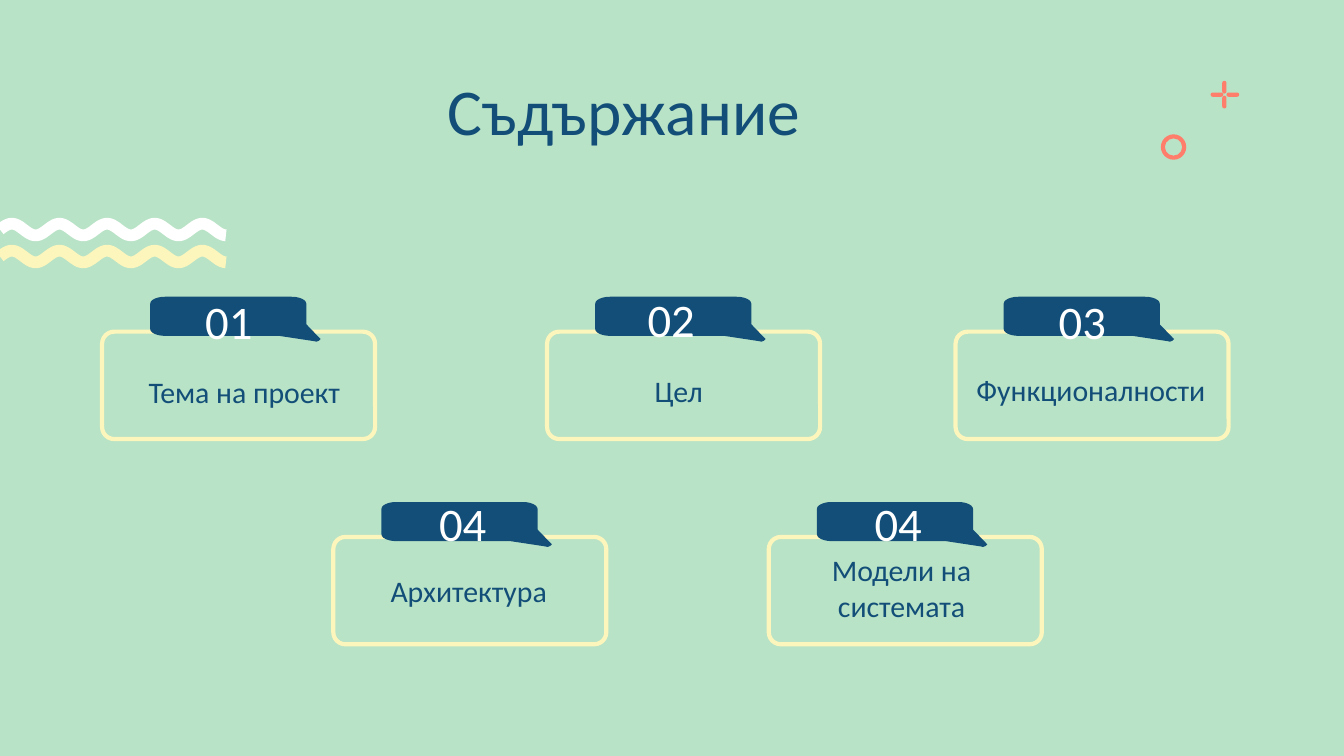
from math import cos, pi, radians, sin

from pptx import Presentation
from pptx.dml.color import RGBColor
from pptx.enum.shapes import MSO_SHAPE as Shape
from pptx.enum.text import MSO_ANCHOR as Anchor, PP_ALIGN as Align
from pptx.util import Cm, Pt

NAVY, CREAM, CORAL, WHITE = "124E78", "FCF6BD", "FF7E6B", "FFFFFF"
hex_color = RGBColor.from_string


def paint(shape, fill=None, line=None, width=0):
    shape.shadow.inherit = False
    for part, color in ((shape.fill, fill), (shape.line.fill, line)):
        if color:
            part.solid()
            part.fore_color.rgb = hex_color(color)
        else:
            part.background()
    if line:
        shape.line.width = Pt(width)


def write(text, box, size, color, anchor=Anchor.BOTTOM, right=0):
    frame = slide.shapes.add_textbox(*map(Cm, box)).text_frame
    frame_format = {"word_wrap": True, "vertical_anchor": anchor, "margin_left": 0,
                    "margin_top": 0, "margin_right": Cm(right), "margin_bottom": 0}
    for name, value in frame_format.items():
        setattr(frame, name, value)
    paragraph = frame.paragraphs[0]
    paragraph.alignment = Align.CENTER
    run = paragraph.add_run()
    run.text = text
    for name, value in {"name": "Calibri", "size": Pt(size)}.items():
        setattr(run.font, name, value)
    run.font.color.rgb = hex_color(color)


deck = Presentation()
deck.slide_width, deck.slide_height = Cm(25.4), Cm(14.29)
slide = deck.slides.add_slide(deck.slide_layouts[6])
slide.background.fill.solid()
slide.background.fill.fore_color.rgb = hex_color("B9E3C6")

half_wave, wave_height, wave_length = 0.45, 0.11, 4.27
steps = 120
for middle, color in ((4.34, WHITE), (4.85, CREAM)):
    curve = []
    for step in range(steps + 1):
        x = wave_length * step / steps
        curve.append((Cm(x), Cm(middle - wave_height * sin(pi * x / half_wave))))
    builder = slide.shapes.build_freeform(*curve[0])
    builder.add_line_segments(curve[1:], close=False)
    paint(builder.convert_to_shape(), line=color, width=6.28)

ring = slide.shapes.add_shape(Shape.DONUT, Cm(21.94), Cm(2.54), Cm(0.48), Cm(0.48))
ring.adjustments[0] = 0.16
paint(ring, fill=CORAL)

for ray_box in ((23.1, 1.53, 0.08, 0.24), (23.1, 1.81, 0.08, 0.24),
                (22.88, 1.75, 0.24, 0.08), (23.18, 1.75, 0.24, 0.08)):
    ray = slide.shapes.add_shape(Shape.ROUNDED_RECTANGLE, *map(Cm, ray_box))
    ray.adjustments[0] = 0.5
    paint(ray, fill=CORAL)

write("Съдържание", (1.98, 1.27, 21.44, 1.6), 35, NAVY, Anchor.MIDDLE, right=1.82)

corner_x, corner_y = 0.28, 0.13
corners = []
for center_x, center_y, start in ((2.67, 0.13, 270), (0.28, 0.61, 90), (0.28, 0.13, 180)):
    angles = [radians(start + 15 * step) for step in range(7)]
    corners.append([(center_x + corner_x * cos(a), center_y + corner_y * sin(a))
                    for a in angles])
top_right, bottom_left, top_left = corners
tail = [(2.95, 0.52), (3.2, 0.78), (3.22, 0.8), (3.19, 0.83), (3.14, 0.85),
        (3.1, 0.84), (2.44, 0.74)]
bubble_outline = top_right + tail + bottom_left + top_left

cards = [
    (1.93, 6.27, "01", (2.84, 5.08, 2.97, 1.52), "Тема на проект", (2.08, 6.81, 5.08, 0.94)),
    (10.34, 6.27, "02", (11.43, 5.89, 2.51, 0.66), "Цел", (10.29, 6.45, 5.08, 1.27)),
    (18.06, 6.27, "03", (18.97, 5, 2.97, 1.6), "Функционалности", (18.08, 6.43, 5.08, 1.27)),
    (6.3, 10.15, "04", (7.26, 8.81, 2.97, 1.6), "Архитектура", (6.32, 10.24, 5.08, 1.27)),
    (14.53, 10.15, "04", (15.49, 8.81, 2.97, 1.6), "Модели на системата",
     (14.5, 10.52, 5.08, 1.27)),
]
for left, top, number, number_box, topic, topic_box in cards:
    card = slide.shapes.add_shape(Shape.ROUNDED_RECTANGLE, Cm(left), Cm(top), Cm(5.16), Cm(2.03))
    card.adjustments[0] = 0.113
    paint(card, line=CREAM, width=2.25)

    outline = [(Cm(left + 0.91 + x), Cm(top - 0.66 + y)) for x, y in bubble_outline]
    builder = slide.shapes.build_freeform(*outline[0])
    builder.add_line_segments(outline[1:], close=True)
    paint(builder.convert_to_shape(), fill=NAVY)

    write(topic, topic_box, 16, NAVY)
    write(number, number_box, 25, WHITE)

deck.save("out.pptx")
